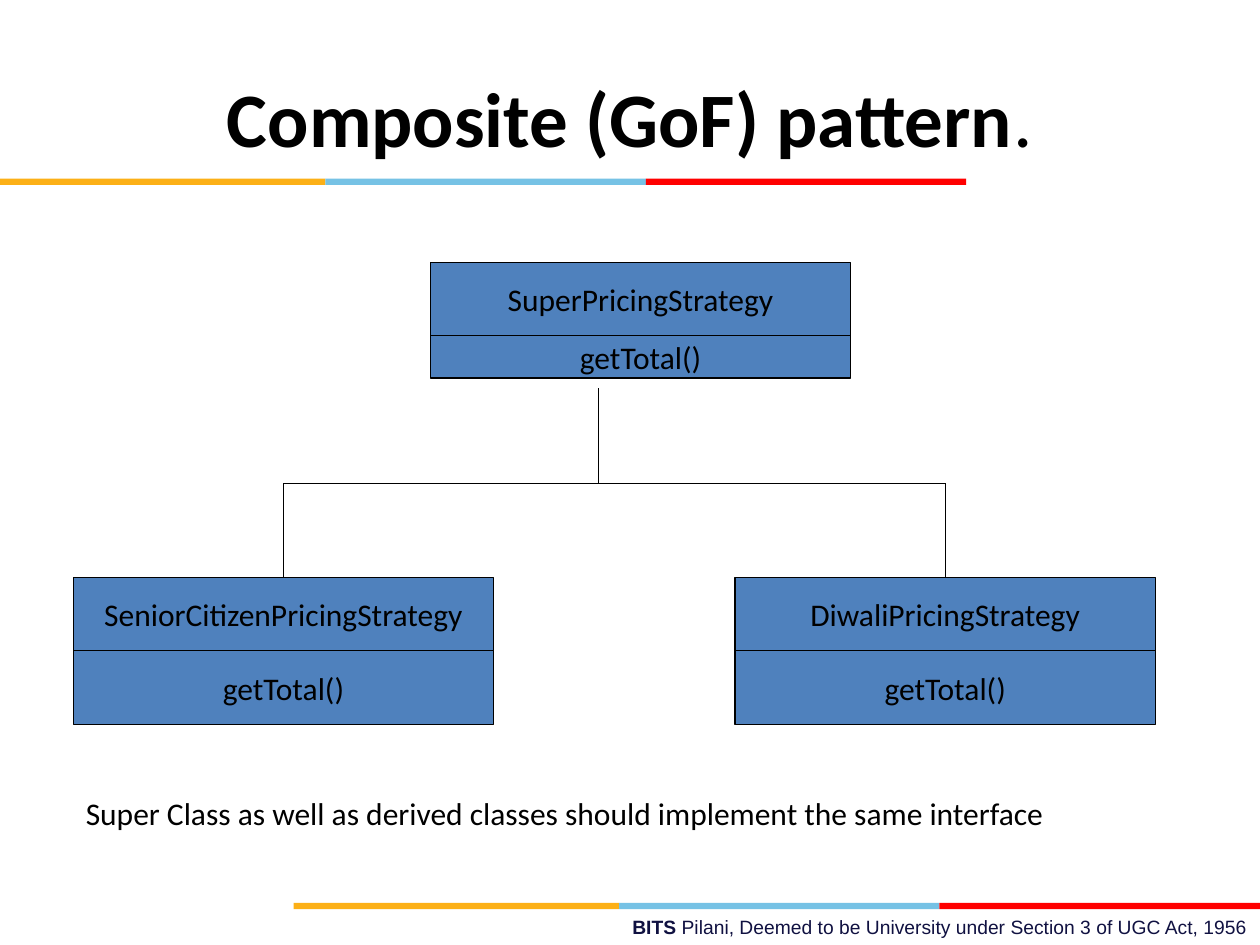
from lxml import etree
from pptx import Presentation
from pptx.dml.color import RGBColor
from pptx.enum.shapes import MSO_CONNECTOR, MSO_SHAPE
from pptx.enum.text import MSO_ANCHOR, PP_ALIGN
from pptx.oxml.ns import qn
from pptx.util import Cm, Pt

BLACK = RGBColor(0x00, 0x00, 0x00)
NAVY = RGBColor(0x10, 0x11, 0x41)
CLASS_BLUE = RGBColor(0x4F, 0x81, 0xBD)
GOLD = RGBColor(0xFC, 0xB0, 0x17)
SKY = RGBColor(0x76, 0xC2, 0xE5)
RED = RGBColor(0xFF, 0x00, 0x00)

SLIDE_WIDTH, SLIDE_HEIGHT = Cm(25.4), Cm(19.05)
BAND_WIDTH = Cm(19.48)
CLASS_WIDTH, ROW_HEIGHT = Cm(8.47), Cm(1.48)


def add_rectangle(slide, left, top, width, height, fill):
    rectangle = slide.shapes.add_shape(MSO_SHAPE.RECTANGLE, left, top, width, height)
    rectangle.shadow.inherit = False
    rectangle.fill.solid()
    rectangle.fill.fore_color.rgb = fill
    rectangle.line.fill.background()
    return rectangle


def add_line(slide, x1, y1, x2, y2):
    line = slide.shapes.add_connector(MSO_CONNECTOR.STRAIGHT, x1, y1, x2, y2)
    line.line.color.rgb = BLACK
    line.line.width = Pt(0.75)
    etree.SubElement(line._element.spPr, qn("a:effectLst"))


def write_line(frame, runs, size, align, font="Calibri", color=BLACK):
    """Fill the first paragraph of the frame with (text, bold) runs."""
    paragraph = frame.paragraphs[0]
    paragraph.alignment = align
    for text, bold in runs:
        run = paragraph.add_run()
        run.text = text
        run.font.name = font
        run.font.size = Pt(size)
        run.font.bold = bold
        run.font.color.rgb = color


def add_text(slide, left, top, width, height, runs, size, align, **style):
    frame = slide.shapes.add_textbox(left, top, width, height).text_frame
    frame.word_wrap = True
    frame.vertical_anchor = MSO_ANCHOR.MIDDLE
    write_line(frame, runs, size, align, **style)


def add_color_band(slide, left, top):
    """Draw the gold, sky and red stripes end to end."""
    for color, width in ((GOLD, Cm(6.56)), (SKY, Cm(6.46)), (RED, Cm(6.46))):
        add_rectangle(slide, left, top, width, Cm(0.13), color)
        left += width


def add_title(slide, left, top, width, height):
    add_text(slide, left, top, width, height,
             [("Composite (GoF) pattern", True), (".", False)], 44, PP_ALIGN.CENTER)


def add_class(slide, left, top, name, method, method_height=ROW_HEIGHT):
    """Draw a class as a name row above a method row."""
    for text, height in ((name, ROW_HEIGHT), (method, method_height)):
        row = add_rectangle(slide, left, top, CLASS_WIDTH, height, CLASS_BLUE)
        row.line.color.rgb = BLACK
        row.line.width = Pt(0.75)
        row.text_frame.word_wrap = False
        row.text_frame.vertical_anchor = MSO_ANCHOR.MIDDLE
        write_line(row.text_frame, [(text, False)], 18, PP_ALIGN.CENTER)
        top += height


def add_class_diagram(slide, left, top):
    add_class(slide, left + Cm(7.2), top, "SuperPricingStrategy", "getTotal()", Cm(0.85))

    trunk_x, trunk_top = left + Cm(10.58), top + Cm(2.54)
    branch_y, child_top = top + Cm(4.45), top + Cm(6.35)
    children = ((left, "SeniorCitizenPricingStrategy"),
                (left + Cm(13.34), "DiwaliPricingStrategy"))
    stems = [child_left + CLASS_WIDTH // 2 for child_left, _ in children]

    add_line(slide, trunk_x, trunk_top, trunk_x, branch_y)
    add_line(slide, stems[0], branch_y, stems[-1], branch_y)
    for stem, (child_left, name) in zip(stems, children):
        add_line(slide, stem, branch_y, stem, child_top)
        add_class(slide, child_left, child_top, name, "getTotal()")


def add_note(slide, left, top, width, height):
    add_text(slide, left, top, width, height,
             [("Super Class as well as derived classes should implement the same interface",
               False)], 18, PP_ALIGN.LEFT)


def add_footer(slide, left, top, width, height):
    add_text(slide, left, top, width, height,
             [("BITS ", True),
              ("Pilani, Deemed to be University under Section 3 of UGC Act, 1956", False)],
             11, PP_ALIGN.RIGHT, font="Arial", color=NAVY)


def main():
    presentation = Presentation()
    presentation.slide_width, presentation.slide_height = SLIDE_WIDTH, SLIDE_HEIGHT
    slide = presentation.slides.add_slide(presentation.slide_layouts[6])

    add_footer(slide, Cm(9.09), Cm(18.31), Cm(16.31), Cm(0.74))
    add_color_band(slide, SLIDE_WIDTH - BAND_WIDTH, Cm(18.2))
    add_color_band(slide, 0, Cm(3.6))
    add_title(slide, Cm(1.27), Cm(0.76), Cm(22.86), Cm(3.18))
    add_class_diagram(slide, Cm(1.48), Cm(5.29))
    add_note(slide, Cm(1.48), Cm(15.88), Cm(22.02), Cm(1.03))

    presentation.save("out.pptx")


if __name__ == "__main__":
    main()
